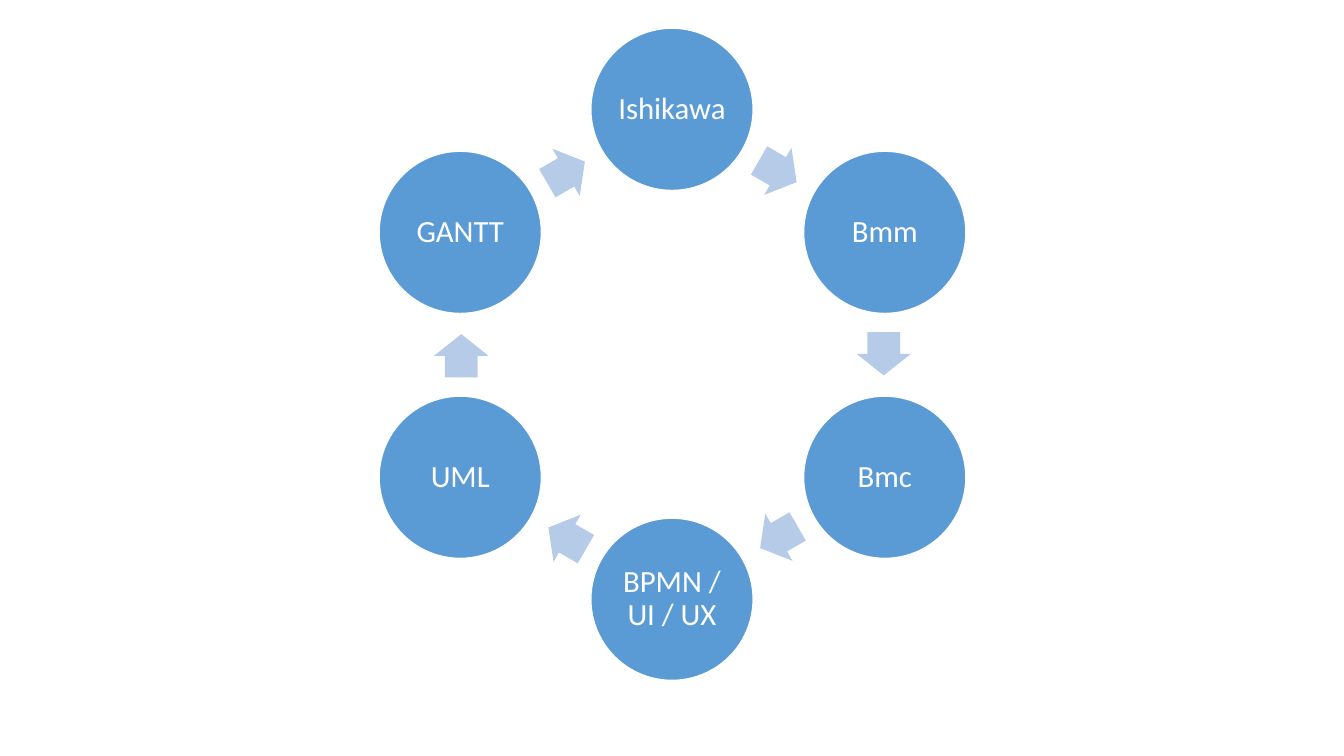
"""Build a slide with a six-step cycle of modelling techniques."""
from math import cos, radians, sin

from pptx import Presentation
from pptx.dml.color import RGBColor
from pptx.enum.shapes import MSO_SHAPE
from pptx.enum.text import MSO_ANCHOR, PP_ALIGN
from pptx.util import Pt

PX = 9144
COLORS = {"step": "5B9BD5", "arrow": "B5CBE7", "white": "FFFFFF"}
STEPS = ["Ishikawa", "Bmm", "Bmc", "BPMN / UI / UX", "UML", "GANTT"]
CENTER_X, CENTER_Y = 667, 352
STEP_RADIUS, ARROW_RADIUS = 243, 210
STEP_SIZE = 161
ARROW_LENGTH, ARROW_WIDTH = 43, 54
TEXT_INSET = 3 * PX
TURN = 360 / len(STEPS)
ARROW_LAG = 0.3

presentation = Presentation()
presentation.slide_width = 1333 * PX
presentation.slide_height = 750 * PX
slide = presentation.slides.add_slide(presentation.slide_layouts[6])


def add_on_ring(preset, radius, angle, width, height, color):
    """Add a filled shape centred on the ring, clockwise from the top."""
    left = round(CENTER_X + radius * sin(radians(angle)) - width / 2)
    top = round(CENTER_Y - radius * cos(radians(angle)) - height / 2)
    shape = slide.shapes.add_shape(preset, left * PX, top * PX, width * PX, height * PX)
    shape.shadow.inherit = False
    shape.fill.solid()
    shape.fill.fore_color.rgb = RGBColor.from_string(COLORS[color])
    return shape


for index, label in enumerate(STEPS):
    angle = index * TURN
    step = add_on_ring(MSO_SHAPE.OVAL, STEP_RADIUS, angle, STEP_SIZE, STEP_SIZE, "step")
    step.line.color.rgb = RGBColor.from_string(COLORS["white"])
    step.line.width = Pt(1)

    frame = step.text_frame
    frame.word_wrap = True
    frame.vertical_anchor = MSO_ANCHOR.MIDDLE
    frame.margin_left = frame.margin_right = TEXT_INSET
    frame.margin_top = frame.margin_bottom = TEXT_INSET
    paragraph = frame.paragraphs[0]
    paragraph.alignment = PP_ALIGN.CENTER
    paragraph.line_spacing = 0.9
    run = paragraph.add_run()
    run.text = label
    run.font.name = "Calibri"
    run.font.size = Pt(22)
    run.font.color.rgb = RGBColor.from_string(COLORS["white"])

    heading = angle + TURN / 2
    arrow = add_on_ring(MSO_SHAPE.RIGHT_ARROW, ARROW_RADIUS, heading - ARROW_LAG,
                        ARROW_LENGTH, ARROW_WIDTH, "arrow")
    arrow.line.fill.background()
    arrow.adjustments[0] = 0.6
    arrow.adjustments[1] = 0.5
    arrow.rotation = heading

presentation.save("out.pptx")
